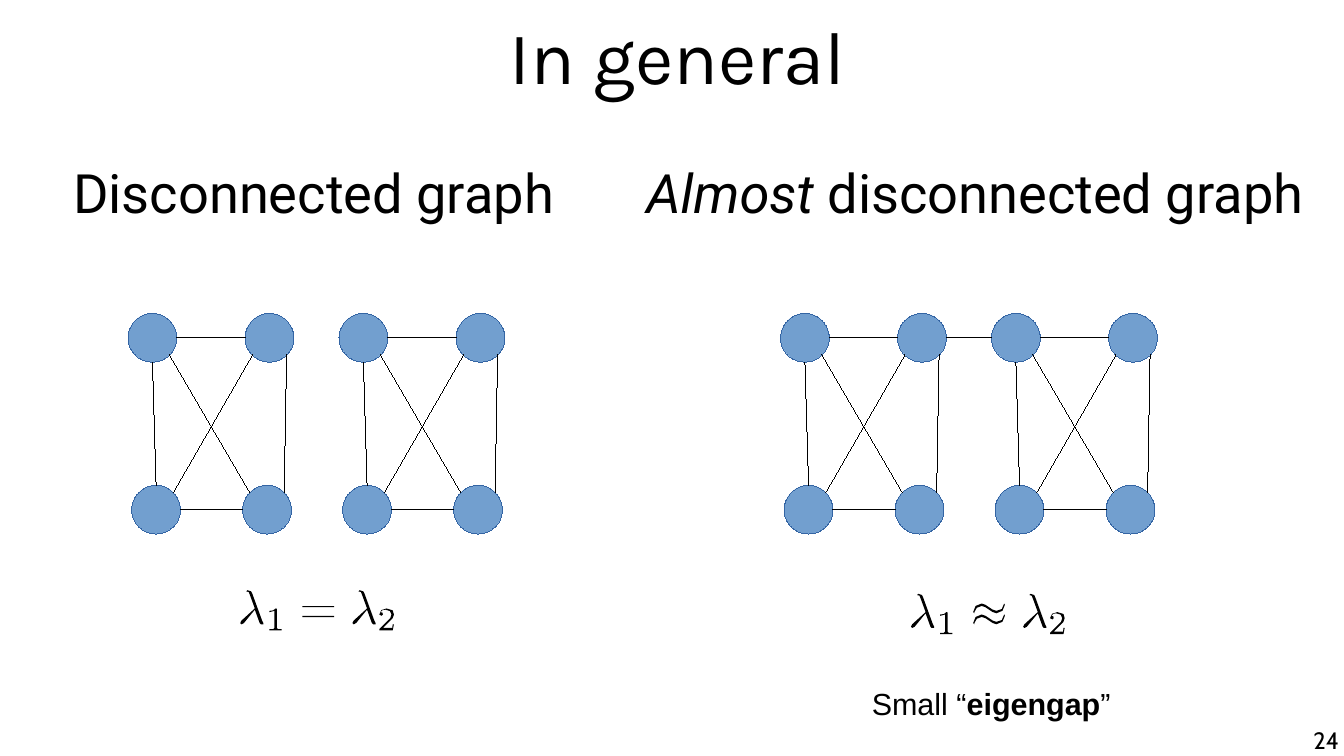
from dataclasses import dataclass

from pptx import Presentation
from pptx.dml.color import RGBColor as Rgb
from pptx.enum.shapes import MSO_CONNECTOR as Connector, MSO_SHAPE as Shape
from pptx.enum.text import MSO_ANCHOR as Anchor, PP_ALIGN as Align
from pptx.oxml.ns import qn
from pptx.util import Inches, Pt
from lxml.etree import SubElement


@dataclass(frozen=True)
class Theme:
    ink: Rgb = Rgb(0x00, 0x00, 0x00)
    node_fill: Rgb = Rgb(0x72, 0x9F, 0xCF)
    node_line: Rgb = Rgb(0x34, 0x65, 0xA4)
    hairline: Pt = Pt(0.01)
    title: tuple = ("Karla", 44)
    heading: tuple = ("Roboto", 32)
    caption: tuple = ("Arial", 18)
    page: tuple = ("Cabin", 14)


def add_run(paragraph, text, style, color, bold=False, italic=False):
    run = paragraph.add_run()
    run.text = text
    font = run.font
    font.name, font.size = style[0], Pt(style[1])
    font.color.rgb = color
    font.bold, font.italic = bold, italic


class Canvas:
    def __init__(self, slide, theme):
        self.slide = slide
        self.theme = theme

    def text(self, box, runs, style, align=Align.LEFT, anchor=Anchor.TOP, inset=(0, 0)):
        """Runs are (text, format) pairs."""
        frame = self.slide.shapes.add_textbox(*map(Inches, box)).text_frame
        frame.word_wrap = True
        frame.vertical_anchor = anchor
        frame.margin_left = frame.margin_right = Inches(inset[0])
        frame.margin_top = frame.margin_bottom = Inches(inset[1])
        paragraph = frame.paragraphs[0]
        paragraph.alignment = align
        for words, form in runs:
            add_run(paragraph, words, style, self.theme.ink, **form)

    def node(self, center):
        left, top = center[0] - RADIUS, center[1] - RADIUS
        circle = self.slide.shapes.add_shape(
            Shape.OVAL, *map(Inches, (left, top, 2 * RADIUS, 2 * RADIUS)))
        circle.shadow.inherit = False
        circle.fill.solid()
        circle.fill.fore_color.rgb = self.theme.node_fill
        circle.line.color.rgb = self.theme.node_line
        circle.line.width = self.theme.hairline

    def edge(self, start, end):
        line = self.slide.shapes.add_connector(
            Connector.STRAIGHT, *map(Inches, (*start, *end)))
        line.line.color.rgb = self.theme.ink
        line.line.width = self.theme.hairline
        SubElement(line._element.spPr, qn("a:effectLst"))

    def cluster(self, left):
        """Four nodes, every pair joined; returns the node centres."""
        centers = {name: (left + dx, y) for name, (dx, y) in NODES.items()}
        for center in centers.values():
            self.node(center)
        for start, start_side, end, end_side in EDGES:
            self.edge(rim(centers[start], start_side), rim(centers[end], end_side))
        return centers

    def glyph(self, contours, left, top):
        """Contours are point lists in hundredths of an inch."""
        scaled = [[(10 * x, 10 * y) for x, y in contour] for contour in contours]
        builder = self.slide.shapes.build_freeform(*scaled[0][0], scale=Inches(0.001))
        for number, contour in enumerate(scaled):
            if number:
                builder.move_to(*contour[0])
            builder.add_line_segments(contour[1:], close=True)
        sign = builder.convert_to_shape(Inches(left), Inches(top))
        sign.shadow.inherit = False
        sign.fill.solid()
        sign.fill.fore_color.rgb = self.theme.ink
        sign.line.fill.background()

    def formula(self, left, top, relation, relation_drop):
        parts = [(LAMBDA, 0, 0), (ONE, 0.24, 0.15), (relation, 0.51, relation_drop),
                 (LAMBDA, 0.92, 0), (TWO, 1.14, 0.15)]
        for contours, dx, dy in parts:
            self.glyph(contours, left + dx, top + dy)


def twice(contour, drop):
    return [contour, [(x, y + drop) for x, y in contour]]


# Formula signs
LAMBDA = [[(12, 16), (16, 27), (17, 28), (19, 28), (19, 27), (18, 25), (10, 3), (9, 1),
           (6, 0), (5, 1), (7, 1.5), (8, 4), (12, 15), (1, 25), (0, 27), (1, 28), (3, 27)]]
ONE = [[(6, 1), (6, 0.2), (5, 0), (3, 1.6), (0, 2), (0, 3), (4, 2), (4, 16), (3, 17),
        (0, 17), (0, 18), (10, 18), (10, 17), (7, 17), (6, 16)]]
TWO = [[(12, 13), (11, 13), (10.7, 16), (3, 16), (8, 11), (11, 8), (12, 5), (11, 1.5),
        (6, 0), (1.8, 1.3), (0, 5), (2, 6), (3, 5), (2.6, 3.4), (1, 3), (2.6, 1.4),
        (5, 1), (8.7, 2.1), (10, 5), (9, 8), (7, 10), (0, 17), (0, 18), (11, 18)]]
EQUALS = twice([(0, 0), (26, 0), (26, 1), (0, 1)], 8)
APPROX = twice([(26, 1), (25.5, 0), (25, 1), (23.5, 4.5), (19, 6), (16, 5), (13, 3),
                (10, 1), (7, 0), (2, 2), (0, 7), (1, 8), (1, 7), (3, 3.5), (7, 2),
                (10, 3), (13, 5), (16, 7), (19, 8), (24, 6)], 9)

# Graph geometry: node centres relative to the cluster's left edge
RADIUS = 0.2
DIAGONAL = 0.14
NODES = {
    "top left": (0.2, 2.77),
    "top right": (1.16, 2.77),
    "bottom right": (1.14, 4.18),
    "bottom left": (0.23, 4.18),
}
RIM = {
    "n": (0, -RADIUS), "s": (0, RADIUS), "w": (-RADIUS, 0), "e": (RADIUS, 0),
    "nw": (-DIAGONAL, -DIAGONAL), "ne": (DIAGONAL, -DIAGONAL),
    "sw": (-DIAGONAL, DIAGONAL), "se": (DIAGONAL, DIAGONAL),
}
EDGES = [
    ("top left", "e", "top right", "w"),
    ("top left", "s", "bottom left", "n"),
    ("top right", "se", "bottom right", "ne"),
    ("bottom right", "w", "bottom left", "e"),
    ("bottom right", "nw", "top left", "se"),
    ("bottom left", "ne", "top right", "sw"),
]
CLUSTER_PITCH = 1.73


def rim(center, side):
    dx, dy = RIM[side]
    return center[0] + dx, center[1] + dy


def main():
    deck = Presentation()
    deck.slide_width, deck.slide_height = Inches(11.02), Inches(6.2)
    theme = Theme()
    canvas = Canvas(deck.slides.add_slide(deck.slide_layouts[6]), theme)

    # Title and column headings
    canvas.text((0.6, 0, 9.92, 0.9), [("In general", {})], theme.title,
                Align.CENTER, Anchor.MIDDLE)
    canvas.text((0.6, 1.31, 4.84, 4.79), [("Disconnected graph", {})], theme.heading)
    canvas.text((5.3, 1.31, 5.72, 4.79),
                [("Almost", {"italic": True}), (" disconnected graph", {})], theme.heading)

    # Graphs: two clusters each, the right pair joined by a bridge
    for graph_left, bridged in ((1.05, False), (6.4, True)):
        first, second = (canvas.cluster(graph_left + i * CLUSTER_PITCH) for i in range(2))
        if bridged:
            canvas.edge(rim(first["top right"], "e"), rim(second["top left"], "w"))

    # Eigenvalue relations
    canvas.formula(1.97, 4.84, EQUALS, 0.13)
    canvas.formula(7.47, 4.87, APPROX, 0.08)

    # Caption and page number
    canvas.text((7.05, 5.57, 3, 0.38),
                [("Small “", {}), ("eigengap", {"bold": True}), ("”", {})],
                theme.caption, inset=(0.1, 0.05))
    canvas.text((8.41, 5.95, 2.57, 0.25), [("24", {})], theme.page, Align.RIGHT)

    deck.save("out.pptx")


if __name__ == "__main__":
    main()
